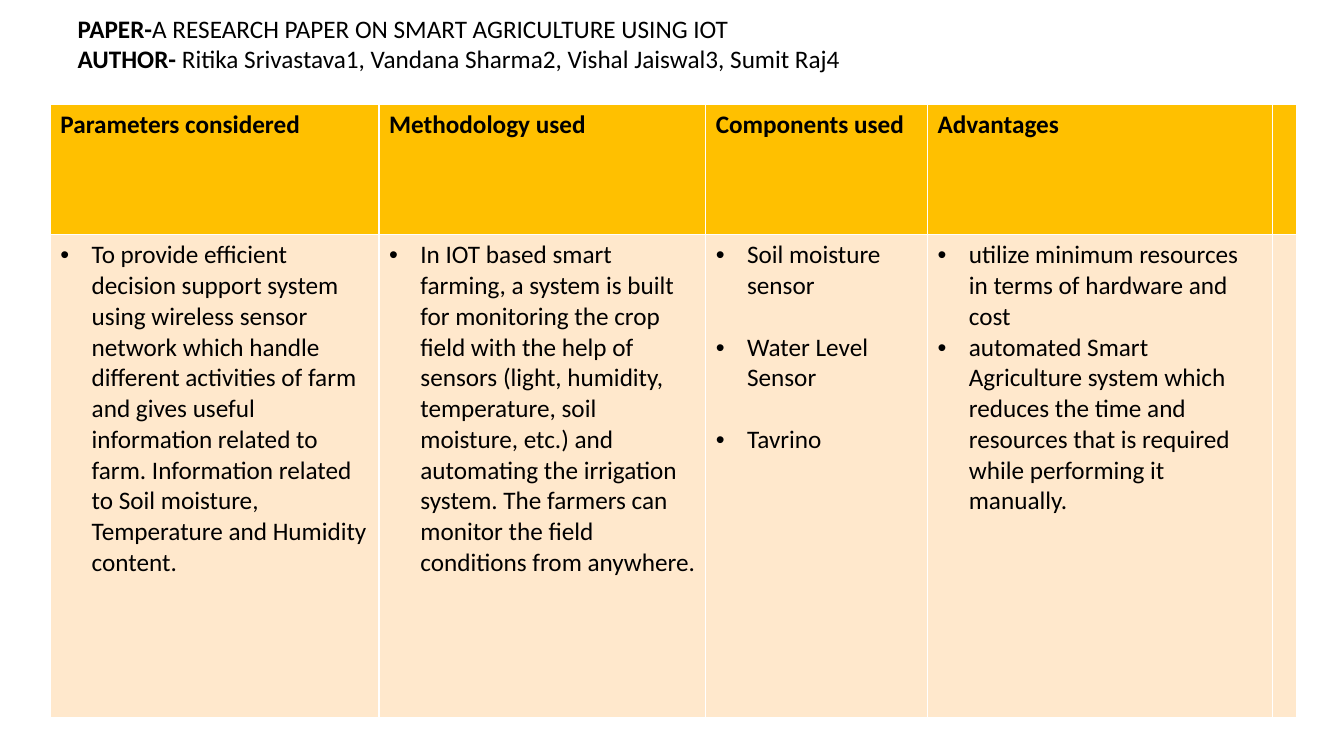
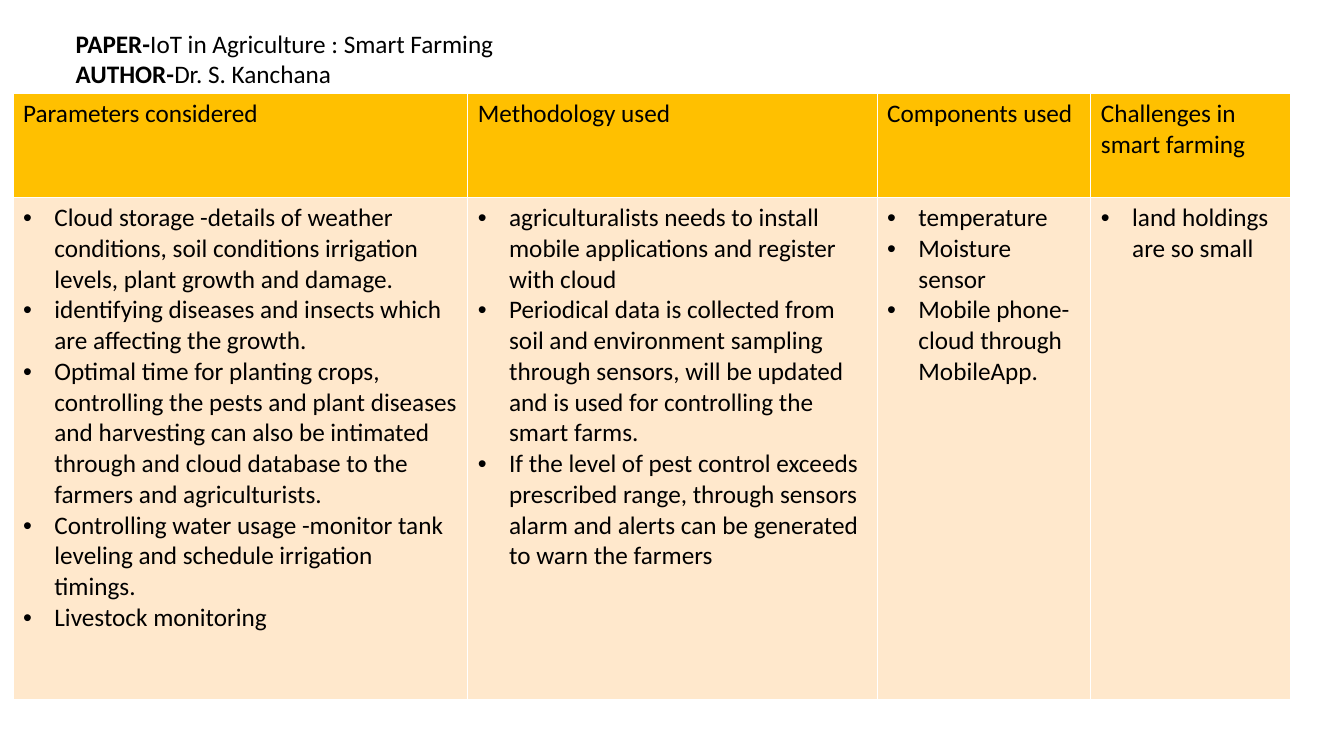
"""Build two slides that each sum up a paper on smart farming in a table."""
import dataclasses
import lxml.etree
import pptx
import pptx.dml.color
import pptx.enum.text
import pptx.oxml.ns
import pptx.util

PAPERS = [
    {
        "lines": [
            ("PAPER-", "A RESEARCH PAPER ON SMART AGRICULTURE USING IOT"),
            ("AUTHOR- ", "Ritika Srivastava1, Vandana Sharma2, Vishal Jaiswal3, Sumit Raj4"),
        ],
        "title": (0.67, 0.08, 11.55),
        "table": (0.5, 1.04),
        "cols": [3.26, 3.24, 2.2, 3.42, 0.23],
        "rows": [1.29, 4.79],
        "bold": True,
        "heads": ["Parameters considered", "Methodology used", "Components used", "Advantages", ""],
        "lists": [
            ["To provide efficient decision support system using wireless sensor network "
             "which handle different activities of farm and gives useful information related "
             "to farm. Information related to Soil moisture, Temperature and Humidity content."],
            ["In IOT based smart farming, a system is built for monitoring the crop field "
             "with the help of sensors (light, humidity, temperature, soil moisture, etc.) "
             "and automating the irrigation system. The farmers can monitor the field "
             "conditions from anywhere."],
            ["Soil moisture sensor", "Water Level Sensor", "Tavrino"],
            ["utilize minimum resources in terms of hardware and cost",
             "automated Smart Agriculture system which reduces the time and resources "
             "that is required while performing it manually."],
            [],
        ],
        "loose": 2,
    },
    {
        "lines": [
            ("PAPER-", "IoT in Agriculture : Smart Farming"),
            ("AUTHOR-", "Dr. S. Kanchana"),
        ],
        "title": (0.65, 0.23, 12.56),
        "table": (0.13, 0.93),
        "cols": [4.51, 4.06, 2.12, 1.98],
        "rows": [1.03, 4.98],
        "bold": False,
        "heads": ["Parameters considered", "Methodology used", "Components used",
                  "Challenges in smart farming"],
        "lists": [
            ["Cloud storage -details of weather conditions, soil conditions irrigation "
             "levels, plant growth and damage.",
             "identifying diseases and insects which are affecting the growth.",
             "Optimal time for planting crops, controlling the pests and plant diseases and "
             "harvesting can also be intimated through and cloud database to the farmers "
             "and agriculturists.",
             "Controlling water usage -monitor tank leveling and schedule irrigation timings.",
             "Livestock monitoring"],
            ["agriculturalists needs to install mobile applications and register with cloud",
             "Periodical data is collected from soil and environment sampling through "
             "sensors, will be updated and is used for controlling the smart farms.",
             "If the level of pest control exceeds prescribed range, through sensors alarm "
             "and alerts can be generated to warn the farmers"],
            ["temperature", "Moisture sensor", "Mobile phone-cloud through MobileApp."],
            ["land holdings are so small"],
        ],
        "loose": None,
    },
]


@dataclasses.dataclass(frozen=True)
class Theme:
    """Hold the colours, type and spacing of the deck."""
    font: str = "Calibri"
    size: int = 18
    ink: str = "000000"
    head: str = "FFC000"
    body: str = "FFE8CC"
    rule: str = "FFFFFF"
    line: float = 1
    dent: float = 0.31
    gap: float = 22
    high: float = 0.71


THEME = Theme()
INCH = pptx.util.Inches
RGB = pptx.dml.color.RGBColor.from_string


def node(base, tag, **attrs):
    """Add an XML child with the given attributes."""
    return lxml.etree.SubElement(base, pptx.oxml.ns.qn(tag), **attrs)


def write(frame, paras, bold=False, lead=False, bullet=False, gap=0):
    """Fill a frame with paragraphs, each given as a tuple of runs."""
    for i, runs in enumerate(paras):
        para = frame.paragraphs[0] if i == 0 else frame.add_paragraph()
        para.alignment = pptx.enum.text.PP_ALIGN.LEFT
        para.space_before = pptx.util.Pt(gap if i else 0)
        if bullet:
            props = para._p.get_or_add_pPr()
            props.set("marL", str(INCH(THEME.dent)))
            props.set("indent", str(-INCH(THEME.dent)))
            node(props, "a:buFont", typeface="Arial")
            node(props, "a:buChar", char="•")
        for j, text in enumerate(runs):
            run = para.add_run()
            run.text = text
            run.font.name = THEME.font
            run.font.size = pptx.util.Pt(THEME.size)
            run.font.color.rgb = RGB(THEME.ink)
            run.font.bold = bold or (lead and j == 0)


def paint(cell, fill):
    """Give a cell its fill and thin rules."""
    props = cell._tc.get_or_add_tcPr()
    for side in "LRTB":
        edge = node(props, "a:ln" + side, w=str(pptx.util.Pt(THEME.line)))
        node(node(edge, "a:solidFill"), "a:srgbClr", val=THEME.rule)
    cell.fill.solid()
    cell.fill.fore_color.rgb = RGB(fill)


def add_title(slide, paper):
    """Place the paper and author lines in the title."""
    title = slide.shapes.title
    left, top, width = paper["title"]
    title.left, title.top = INCH(left), INCH(top)
    title.width, title.height = INCH(width), INCH(THEME.high)
    frame = title.text_frame
    frame.word_wrap = True
    frame.auto_size = pptx.enum.text.MSO_AUTO_SIZE.NONE
    frame.vertical_anchor = pptx.enum.text.MSO_ANCHOR.TOP
    write(frame, paper["lines"], lead=True)


def add_grid(slide, paper):
    """Draw the table of heads and bullet lists."""
    cols, rows = paper["cols"], paper["rows"]
    box = [INCH(n) for n in (*paper["table"], sum(cols), sum(rows))]
    table = slide.shapes.add_table(len(rows), len(cols), *box).table
    table.horz_banding = False
    for row, high in zip(table.rows, rows):
        row.height = INCH(high)
    for i, wide in enumerate(cols):
        table.columns[i].width = INCH(wide)
        head, body = table.cell(0, i), table.cell(1, i)
        paint(head, THEME.head)
        paint(body, THEME.body)
        if paper["heads"][i]:
            write(head.text_frame, [(paper["heads"][i],)], bold=paper["bold"])
        write(body.text_frame, [(text,) for text in paper["lists"][i]], bullet=True,
              gap=THEME.gap if i == paper["loose"] else 0)


def main():
    """Build and save the deck."""
    deck = pptx.Presentation()
    deck.slide_width, deck.slide_height = INCH(13.33), INCH(7.5)
    for paper in PAPERS:
        slide = deck.slides.add_slide(deck.slide_layouts.get_by_name("Title Only"))
        add_grid(slide, paper)
        add_title(slide, paper)
    deck.save("out.pptx")


main()
